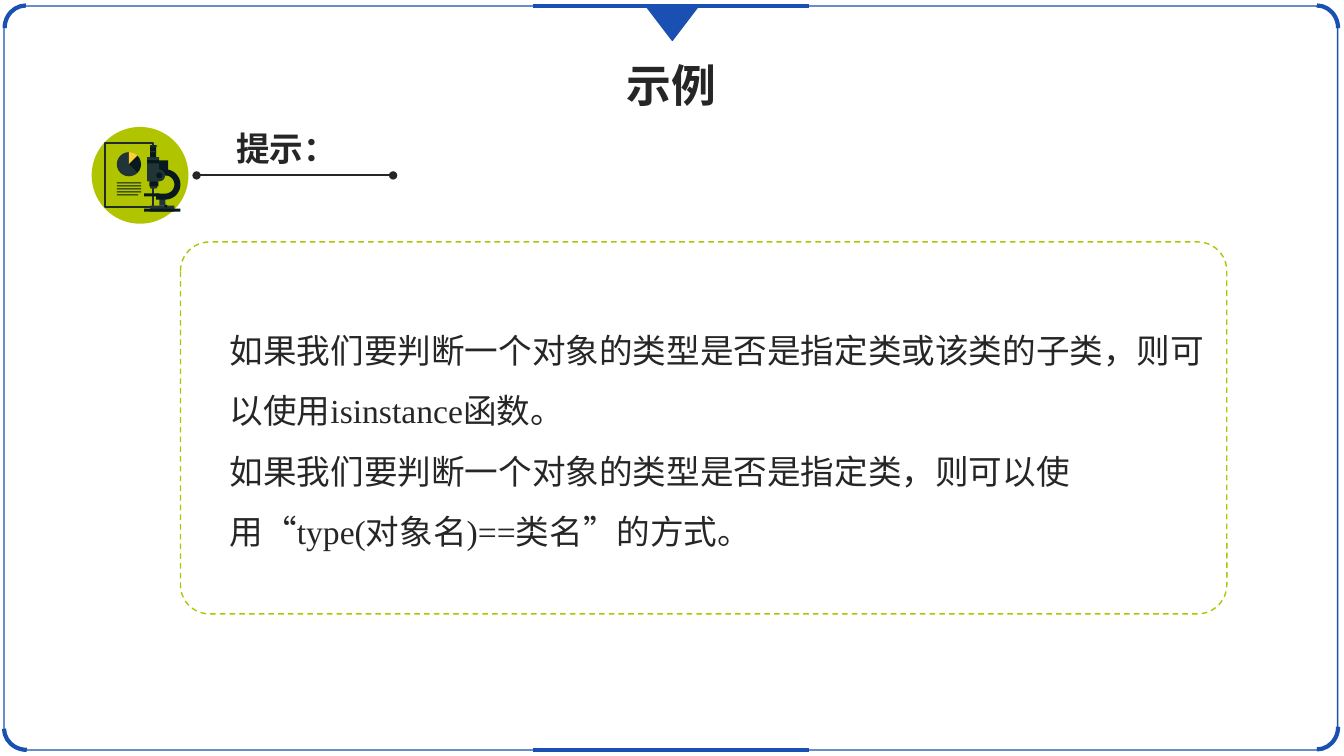
from math import cos, pi, sin

from lxml import etree
from pptx import Presentation
from pptx.dml.color import RGBColor
from pptx.enum.dml import MSO_LINE
from pptx.enum.shapes import MSO_CONNECTOR, MSO_SHAPE
from pptx.enum.text import MSO_AUTO_SIZE, PP_ALIGN
from pptx.oxml.ns import qn
from pptx.util import Pt

BLUE = RGBColor(0x19, 0x50, 0xB2)
LIME = RGBColor(0xB1, 0xC4, 0x00)
INK = RGBColor(0x26, 0x26, 0x26)
SLATE = RGBColor(0x22, 0x2A, 0x35)
STEEL = RGBColor(0x21, 0x35, 0x38)
DARK = RGBColor(0x08, 0x19, 0x1E)
GOLD = RGBColor(0xFF, 0xCE, 0x35)

RECT = MSO_SHAPE.RECTANGLE
ROUND = MSO_SHAPE.ROUNDED_RECTANGLE
OVAL = MSO_SHAPE.OVAL
ARC = MSO_SHAPE.ARC
PIE = MSO_SHAPE.PIE
WEDGE = MSO_SHAPE.ISOSCELES_TRIANGLE
DASH = MSO_LINE.DASH
STRAIGHT = MSO_CONNECTOR.STRAIGHT
LEFT, MID = PP_ALIGN.LEFT, PP_ALIGN.CENTER
GROW = MSO_AUTO_SIZE.SHAPE_TO_FIT_TEXT


class Page:
    """Draws on one slide; all lengths are in points."""

    style = {"name": "Times New Roman", "size": Pt(24), "bold": False}

    def __init__(self, slide):
        self.shapes = slide.shapes

    def paint(self, item, fill, line, width, dash=None):
        item.shadow.inherit = False
        if fill is None:
            item.fill.background()
        else:
            item.fill.solid()
            item.fill.fore_color.rgb = fill
        if line is None:
            item.line.fill.background()
        else:
            item.line.color.rgb = line
            item.line.width = Pt(width)
            if dash:
                item.line.dash_style = dash

    def shape(self, kind, box, fill=None, line=None, width=1, dash=None, turn=0, adj=()):
        item = self.shapes.add_shape(kind, *map(Pt, box))
        item.rotation = turn
        for i, value in enumerate(adj):
            item.adjustments[i] = value
        self.paint(item, fill, line, width, dash)

    def outline(self, points, fill):
        dots = [(Pt(x), Pt(y)) for x, y in points]
        form = self.shapes.build_freeform(*dots[0], scale=1.0)
        form.add_line_segments(dots[1:], close=True)
        self.paint(form.convert_to_shape(), fill, None, 0)

    def line(self, left, right, y, color, width, ends=()):
        item = self.shapes.add_connector(STRAIGHT, Pt(left), Pt(y), Pt(right), Pt(y))
        item.line.color.rgb = color
        item.line.width = Pt(width)
        props = item.line._get_or_add_ln()
        for end in ends:
            etree.SubElement(props, qn(end), type="oval")
        etree.SubElement(item._element.spPr, qn("a:effectLst"))

    def text(self, box, paras, align=LEFT, wrap=False, space=1.0, **style):
        frame = self.shapes.add_textbox(*map(Pt, box)).text_frame
        frame.word_wrap = wrap
        frame.auto_size = GROW
        frame.text = "\n".join(paras)
        for para in frame.paragraphs:
            para.alignment = align
            para.line_spacing = space
            for run in para.runs:
                for key, value in {**self.style, **style}.items():
                    setattr(run.font, key, value)
                run.font.color.rgb = INK


def draw_frame(page):
    page.shape(ROUND, (2.9, 4.3, 952.6, 531.4), line=BLUE, adj=[0.029])
    corners = [
        ((2.2, 5, 32.4, 30.2), 270),
        ((2.9, 505.4, 32.4, 30.2), 180),
        ((925.6, 3.9, 30.2, 32.4), 0),
        ((924.5, 504, 32.4, 30.2), 90),
    ]
    for box, turn in corners:
        page.shape(ARC, box, line=BLUE, width=3, turn=turn)
    for y in (4.3, 535.7):
        page.line(380.9, 578.2, y, BLUE, 3)
    page.shape(WEDGE, (461.5, 4.3, 37.4, 24.5), BLUE, BLUE, turn=180)


def draw_chart(page):
    """Paper sheet with a pie and lines of text."""
    page.shape(RECT, (74.9, 102.2, 34.6, 45.4), line=SLATE, width=1.5)
    for start, end, fill in ((45, 270, STEEL), (270, 315, GOLD), (315, 45, DARK)):
        # An adjustment unit is 100000, a degree is 60000
        page.shape(PIE, (83.5, 108.7, 17.3, 17.3), fill, adj=[start * 0.6, end * 0.6])
    for i in range(5):
        page.shape(RECT, (83.5, 130.3 + i * 2.16, 15.1 if i == 4 else 17.3, 0.7), DARK)


def draw_scope(page):
    """Microscope."""
    back = [
        (RECT, (107.3, 146.9, 17.3, 4.3), STEEL),
        (RECT, (111.6, 114.5, 8.6, 10.8), DARK),
        (RECT, (113.8, 140.4, 4.3, 6.5), STEEL),
        (RECT, (107.3, 126, 5, 8.6), STEEL),
        (RECT, (106.6, 129.6, 6.5, 3.6), DARK),
        (RECT, (105.1, 112.3, 8.6, 17.3), STEEL),
        (RECT, (107.3, 103.7, 4.3, 8.6), DARK),
        (OVAL, (109.4, 121, 8.6, 8.6), STEEL),
        (RECT, (103, 138.2, 10.8, 2.2), DARK),
    ]
    front = [
        (OVAL, (111.6, 123.1, 4.3, 4.3), DARK),
        (RECT, (103, 149, 25.9, 2.2), DARK),
        (OVAL, (117.4, 146.2, 2.2, 2.2), DARK),
        (RECT, (107.3, 108, 4.3, 0.7), STEEL),
        (RECT, (105.1, 114.5, 8.6, 2.2), DARK),
        (RECT, (108, 133.9, 2.9, 0.7), STEEL),
    ]
    ticks = [(RECT, (107.3 + i * 1.08, 103.7, 0.7, 1.4), STEEL) for i in range(5)]

    def bend(radius):
        turns = [i * pi / 24 for i in range(25)]
        return [(118.1 + radius * sin(t), 131.8 - radius * cos(t)) for t in turns]

    for part in back:
        page.shape(*part)
    foot = [(111.6, 142.6), (111.6, 138.3)]
    page.outline(bend(10.8) + foot + bend(6.5)[::-1], DARK)
    for part in front + ticks:
        page.shape(*part)


def main():
    deck = Presentation()
    deck.slide_width, deck.slide_height = Pt(960), Pt(540)
    page = Page(deck.slides.add_slide(deck.slide_layouts[6]))
    draw_frame(page)
    page.text((439.2, 37.4, 80.6, 46.1), ["示例"], MID, size=Pt(32), bold=True)
    page.text((161.3, 87.8, 87.1, 36), ["提示："], MID, bold=True)
    hints = [
        "如果我们要判断一个对象的类型是否是指定类或该类的子类，则可以使用isinstance函数。",
        "如果我们要判断一个对象的类型是否是指定类，则可以使用“type(对象名)==类名”的方式。",
    ]
    page.text((157, 217.4, 731.5, 176.4), hints, wrap=True, space=1.5)
    page.line(140.4, 280.8, 125.3, INK, 1.5, ("a:headEnd", "a:tailEnd"))
    page.shape(OVAL, (65.5, 90.7, 69.1, 69.1), LIME)
    draw_chart(page)
    draw_scope(page)
    page.shape(ROUND, (128.9, 172.8, 747.4, 265.7), line=LIME, dash=DASH, adj=[0.078])
    deck.save("out.pptx")


if __name__ == "__main__":
    main()
